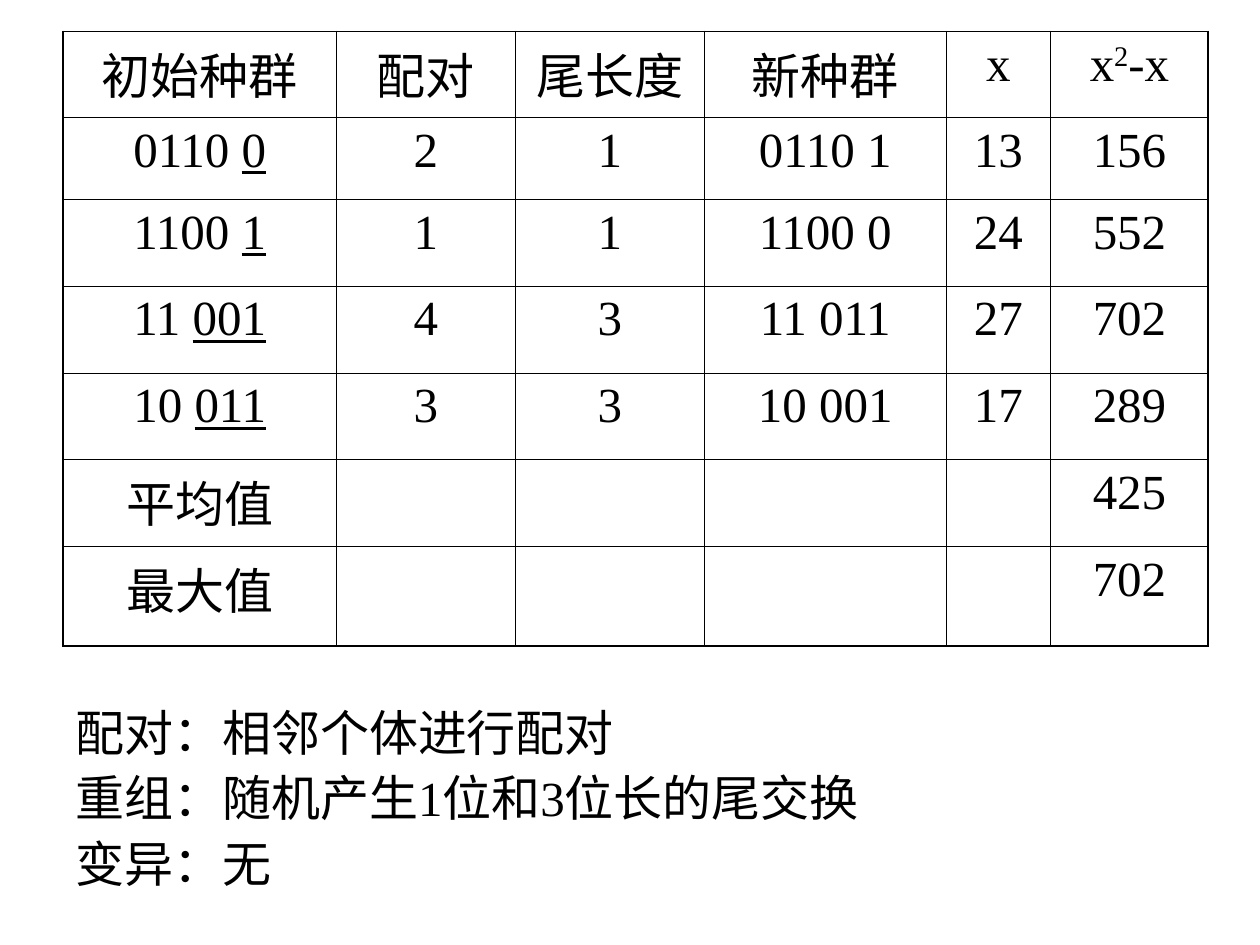
from lxml import etree
from pptx import Presentation
from pptx import util as u
from pptx.dml.color import RGBColor
from pptx.enum import text
from pptx.oxml import ns

BLACK = RGBColor(0, 0, 0)
SERIF, SANS = "Times New Roman", "Arial"
THIN, THICK = u.Pt(0.45), u.Pt(1.08)

# Content: a cell or line is a list of (words, format) spans, or a plain string
UNDERLINE = {"underline": True}
COLUMN_WIDTHS = [2.17, 1.42, 1.5, 1.92, 0.83, 1.25]
ROW_HEIGHTS = [0.68, 0.65, 0.69, 0.69, 0.69, 0.69, 0.79]
ROWS = [
    ["初始种群", "配对", "尾长度", "新种群", "x",
     [("x", {}), ("2", {"baseline": 30000}), ("-x", {})]],
    [[("0110 ", {}), ("0", UNDERLINE)], "2", "1", "0110 1", "13", "156"],
    [[("1100 ", {}), ("1", UNDERLINE)], "1", "1", "1100 0", "24", "552"],
    [[("11 ", {}), ("001", UNDERLINE)], "4", "3", "11 011", "27", "702"],
    [[("10 ", {}), ("011", UNDERLINE)], "3", "3", "10 001", "17", "289"],
    ["平均值", "", "", "", "", "425"],
    ["最大值", "", "", "", "", "702"],
]
NOTES = [
    "配对：相邻个体进行配对",
    [("重组：随机产生", {}), ("1位和3", {"name": SERIF}), ("位长的尾交换", {})],
    "变异：无",
]


def write(para, content, font_name):
    """Fill a paragraph with formatted spans."""
    para.space_before = u.Pt(7)
    spans = [(content, {})] if isinstance(content, str) else content
    for words, changes in spans:
        span = para.add_run()
        span.text = words
        span.font.color.rgb = BLACK
        formats = {"size": u.Pt(28), "name": font_name, **changes}
        baseline = formats.pop("baseline", None)
        for key, value in formats.items():
            setattr(span.font, key, value)
        if baseline:
            span.font._element.set("baseline", str(baseline))


def add_borders(cell, widths):
    """Draw the cell sides given as {tag: width}."""
    properties = cell._tc.get_or_add_tcPr()
    for side, width in widths.items():
        line = etree.SubElement(properties, ns.qn(f"a:{side}"), w=str(int(width)))
        fill = etree.SubElement(line, ns.qn("a:solidFill"))
        etree.SubElement(fill, ns.qn("a:srgbClr"), val=str(BLACK))


def add_notes(page):
    box = page.placeholders[1]
    box.left, box.top, box.width, box.height = map(u.Inches, (0.5, 5.58, 7.83, 1.58))
    frame = box.text_frame
    frame.auto_size = text.MSO_AUTO_SIZE.NONE
    frame.vertical_anchor = text.MSO_ANCHOR.TOP
    for index, content in enumerate(NOTES):
        para = frame.add_paragraph() if index else frame.paragraphs[0]
        para.line_spacing = 0.9
        write(para, content, SANS)
        properties = para._p.get_or_add_pPr()
        properties.set("marL", str(u.Inches(0.38)))
        properties.set("indent", str(u.Inches(-0.38)))
        etree.SubElement(properties, ns.qn("a:buNone"))


def add_population_table(page):
    last_row, last_column = len(ROWS) - 1, len(COLUMN_WIDTHS) - 1
    table = page.shapes.add_table(
        len(ROWS), len(COLUMN_WIDTHS), u.Inches(0.5), u.Inches(0.25),
        u.Inches(sum(COLUMN_WIDTHS)), u.Inches(sum(ROW_HEIGHTS))).table
    table.first_row = table.horz_banding = False
    for column, width in zip(table.columns, COLUMN_WIDTHS):
        column.width = u.Inches(width)
    for row, height in zip(table.rows, ROW_HEIGHTS):
        row.height = u.Inches(height)

    for r, contents in enumerate(ROWS):
        for c, content in enumerate(contents):
            cell = table.cell(r, c)
            # Outer sides are thick, inner ones thin
            add_borders(cell, {
                "lnL": THICK if c == 0 else THIN,
                "lnR": THICK if c == last_column else THIN,
                "lnT": THICK if r == 0 else THIN,
                "lnB": THICK if r == last_row else THIN,
            })
            cell.fill.background()
            if content:
                para = cell.text_frame.paragraphs[0]
                para.alignment = text.PP_ALIGN.CENTER
                write(para, content, SERIF)


def main():
    deck = Presentation()
    deck.slide_width, deck.slide_height = u.Inches(10), u.Inches(7.5)
    page = deck.slides.add_slide(deck.slide_layouts[1])
    title = page.shapes.title._element
    title.getparent().remove(title)
    add_notes(page)
    add_population_table(page)
    deck.save("out.pptx")


if __name__ == "__main__":
    main()
